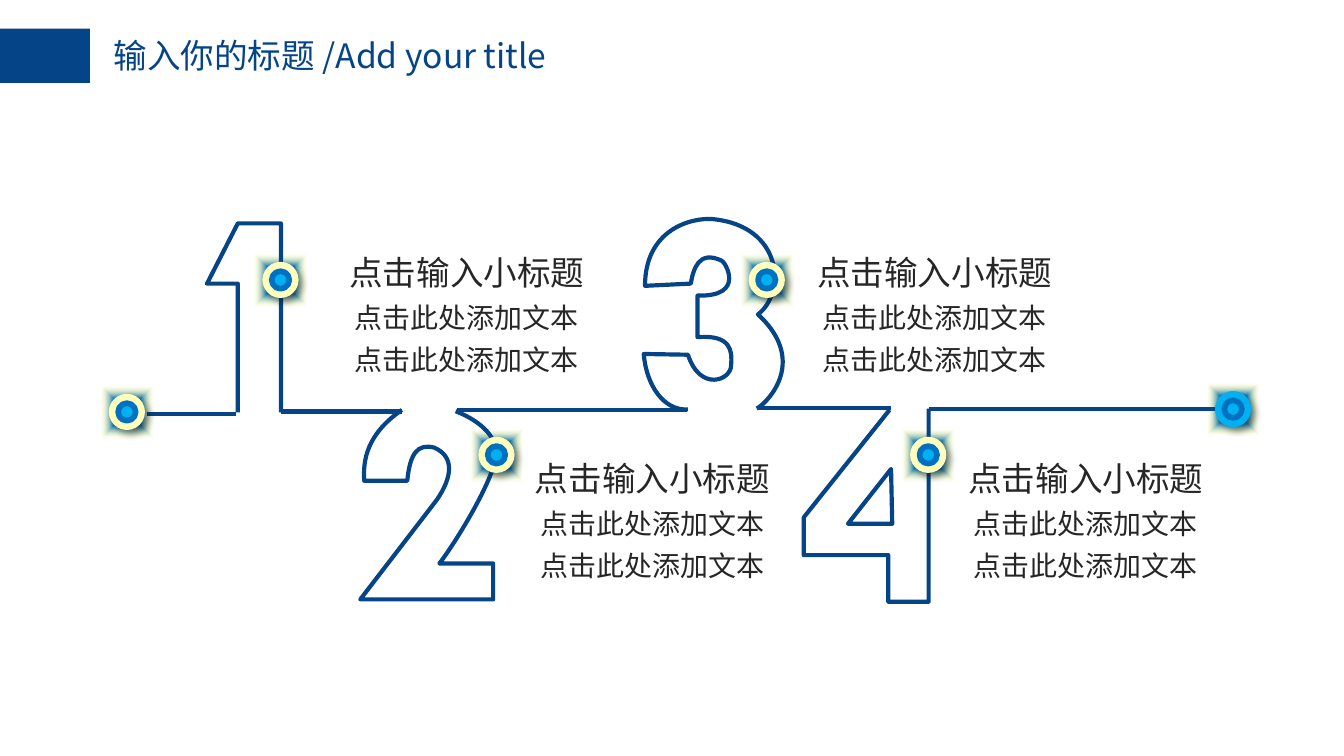
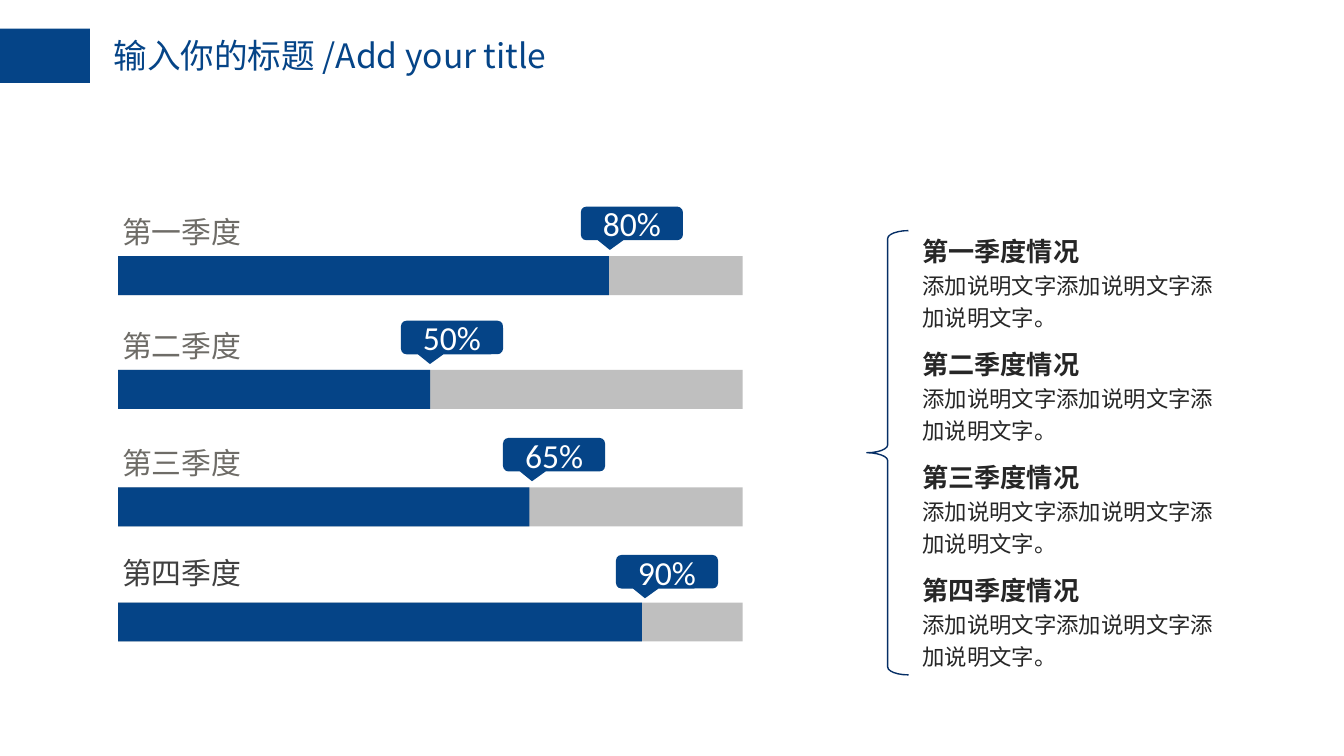
from lxml import etree
from pptx import Presentation
from pptx.dml.color import RGBColor
from pptx.enum.shapes import MSO_CONNECTOR, MSO_SHAPE
from pptx.enum.text import MSO_ANCHOR, MSO_AUTO_SIZE, PP_ALIGN
from pptx.oxml import parse_xml
from pptx.oxml.ns import qn
from pptx.util import Pt

RECT, OVAL = MSO_SHAPE.RECTANGLE, MSO_SHAPE.OVAL
CALLOUT, BRACE = MSO_SHAPE.ROUNDED_RECTANGULAR_CALLOUT, MSO_SHAPE.LEFT_BRACE
STRAIGHT = MSO_CONNECTOR.STRAIGHT
CENTER, MIDDLE = PP_ALIGN.CENTER, MSO_ANCHOR.MIDDLE
GROW = MSO_AUTO_SIZE.SHAPE_TO_FIT_TEXT

COLORS = {
    "navy": "054487", "brace": "052E65", "track": "BFBFBF", "white": "FFFFFF",
    "sky": "00B0F0", "blue": "0070C0", "cream": "FFFEBC", "glow": "FFFB6C",
    "ink": "262626", "label": "6E6C67", "dark": "404040",
}
FONT, NUMBER_FONT = "Noto Sans CJK SC", "Calibri"
NS = 'xmlns:a="http://schemas.openxmlformats.org/drawingml/2006/main"'

GLOW = f"""<a:gradFill {NS} rotWithShape="1"><a:gsLst>
<a:gs pos="15000"><a:srgbClr val="{COLORS['sky']}"/></a:gs>
<a:gs pos="31000"><a:srgbClr val="{COLORS['blue']}"/></a:gs>
<a:gs pos="63000"><a:srgbClr val="{COLORS['glow']}"><a:alpha val="0"/></a:srgbClr></a:gs>
</a:gsLst><a:path path="shape"><a:fillToRect l="50000" t="50000" r="50000" b="50000"/></a:path>
</a:gradFill>"""
SHADOW = f"""<a:outerShdw {NS} blurRad="{Pt(4)}" dist="{Pt(3)}" dir="2700000" algn="tl"
rotWithShape="0"><a:srgbClr val="000000"><a:alpha val="40000"/></a:srgbClr></a:outerShdw>"""

# Outlines: a 2-tuple is a corner, a 6-tuple is a Bezier curve (two controls, end).
DIGIT_1 = [(127.4, 221), (127.4, 152), (110.9, 152), (127.4, 119.7), (150.5, 119.7),
           (150.5, 221)]
DIGIT_2 = [(215.3, 219.6), (196.6, 232.6, 194.4, 246.2, 195.1, 257.6), (218.2, 257.6),
           (219.6, 242.6, 223.9, 237.6, 232.6, 239.8),
           (244.1, 244.8, 241.9, 256.3, 234, 267.8),
           (193, 321.1), (264.2, 321.1), (264.2, 301.9), (235.4, 301.9),
           (245.5, 288.7, 268.6, 250.6, 265.7, 239.8),
           (262.8, 229, 251.3, 223.2, 244.1, 220.3)]
DIGIT_3 = [(368.6, 219.4), (355.7, 220.3, 346.3, 206.6, 344.9, 189.7), (368.6, 190.1),
           (375.1, 210.2, 391.7, 203.8, 391.7, 195.8),
           (392.4, 187.9, 391.7, 179.3, 373.7, 180.7), (373.7, 158.4),
           (400.3, 159.1, 388.1, 139.7, 386.6, 139.7),
           (374.4, 133.9, 371.5, 144, 370.1, 152), (345.6, 153.2),
           (345.6, 123.1, 370.1, 116.6, 381.6, 117.4),
           (419.8, 121, 421.2, 157, 406.1, 168.5),
           (434.9, 195.1, 408.2, 218.2, 405.4, 218.9)]
DIGIT_4 = [(476.6, 219.6), (430.6, 277.2), (430.6, 297.4), (475.9, 297.4),
           (475.9, 322.4), (497.5, 322.4), (497.5, 218.9)]
HOLE_4 = [(477.4, 251.3), (454.3, 280.6), (478, 280.6)]


def rgb(name):
    return RGBColor.from_string(COLORS[name])


def write(tf, text, size=18, color="ink", font=FONT, bold=False, align=None, spacing=None):
    """Add one formatted paragraph, using the empty first one if it is free."""
    p = tf.paragraphs[0] if not tf.text else tf.add_paragraph()
    p.alignment, p.line_spacing = align, spacing
    r = p.add_run()
    r.text = text
    r.font.size, r.font.bold, r.font.name = Pt(size), bold, font
    r.font.color.rgb = rgb(color)
    etree.SubElement(r._r.get_or_add_rPr(), qn("a:ea")).set("typeface", font)


def flatten(outline, steps=16):
    """Return points along the outline, close enough to measure its extent."""
    points = [outline[0]]
    for part in outline[1:]:
        if len(part) == 2:
            points.append(part)
            continue
        (x0, y0), (x1, y1, x2, y2, x3, y3) = points[-1], part
        for i in range(1, steps + 1):
            t = i / steps
            a, b, c, d = (1 - t) ** 3, 3 * t * (1 - t) ** 2, 3 * t * t * (1 - t), t ** 3
            points.append((a * x0 + b * x1 + c * x2 + d * x3,
                           a * y0 + b * y1 + c * y2 + d * y3))
    return points


def set_curves(sp, outline):
    """Redraw an open freeform with true Bezier curves inside the same box."""
    track = sp._element.spPr.find(".//" + qn("a:path"))
    for step in list(track):
        track.remove(step)
    for i, part in enumerate(outline):
        tag = "a:moveTo" if i == 0 else "a:lnTo" if len(part) == 2 else "a:cubicBezTo"
        step = etree.SubElement(track, qn(tag))
        for x, y in zip(part[::2], part[1::2]):
            pt = etree.SubElement(step, qn("a:pt"))
            pt.set("x", str(Pt(x) - sp.left))
            pt.set("y", str(Pt(y) - sp.top))


class Deck:
    def __init__(self):
        self.prs = Presentation()
        self.prs.slide_width, self.prs.slide_height = Pt(720), Pt(405)
        self.s = None

    def slide(self, title):
        self.s = self.prs.slides.add_slide(self.prs.slide_layouts[6])
        self.shape(RECT, 0, 15.4, 48.2, 29, fill="navy")
        write(self.text(53.7, 15.2, 300, 51), title, color="navy")

    def shape(self, kind, x, y, w, h, fill=None, line=None, width=1, adj=()):
        sp = self.s.shapes.add_shape(kind, Pt(x), Pt(y), Pt(w), Pt(h))
        for i, value in enumerate(adj):
            sp.adjustments[i] = value
        self.paint(sp, fill, line, width)
        return sp

    def paint(self, sp, fill=None, line=None, width=1):
        sp.shadow.inherit = False
        if fill:
            sp.fill.solid()
            sp.fill.fore_color.rgb = rgb(fill)
        else:
            sp.fill.background()
        if line:
            sp.line.color.rgb, sp.line.width = rgb(line), Pt(width)
        else:
            sp.line.fill.background()

    def circle(self, cx, cy, d, **style):
        return self.shape(OVAL, cx - d / 2, cy - d / 2, d, d, **style)

    def text(self, x, y, w, h, inset=(7.2, 3.6), grow=True):
        tf = self.s.shapes.add_textbox(Pt(x), Pt(y), Pt(w), Pt(h)).text_frame
        tf.word_wrap = True
        if grow:
            tf.auto_size = GROW
        tf.margin_left = tf.margin_right = Pt(inset[0])
        tf.margin_top = tf.margin_bottom = Pt(inset[1])
        return tf

    def rule(self, x1, x2, y):
        c = self.s.shapes.add_connector(STRAIGHT, Pt(x1), Pt(y), Pt(x2), Pt(y))
        c.line.color.rgb, c.line.width = rgb("navy"), Pt(2.25)
        etree.SubElement(c._element.spPr, qn("a:effectLst"))

    def outline(self, parts, close=False):
        start, *rest = [(Pt(x), Pt(y)) for x, y in flatten(parts)]
        fb = self.s.shapes.build_freeform(*start)
        fb.add_line_segments(rest, close=close)
        sp = fb.convert_to_shape()
        self.paint(sp, line="navy", width=2.25)
        if not close:
            set_curves(sp, parts)

    def glow(self, cx, cy):
        spPr = self.circle(cx, cy, 44.6)._element.spPr
        spPr.replace(spPr.find(qn("a:noFill")), parse_xml(GLOW))

    def marker(self, cx, cy, fill):
        disc = self.circle(cx, cy, 19.4, fill=fill)
        disc._element.spPr.find(qn("a:effectLst")).append(parse_xml(SHADOW))
        self.circle(cx, cy, 9.4, fill="sky", line="blue", width=3)


def steps_slide(deck):
    markers = [(68, 220.7), (150.3, 150), (266, 243.7), (410.8, 150), (497.3, 243.7),
               (660.6, 219.2)]
    for cx, cy in markers:
        deck.glow(cx, cy)
    for x1, x2, y in [(78.5, 126.3, 221.8), (150.5, 215.3, 220.5), (244.8, 368, 219.6),
                      (406.8, 477.2, 218.4), (497.5, 651, 219)]:
        deck.rule(x1, x2, y)
    for digit in (DIGIT_1, DIGIT_2, DIGIT_3, DIGIT_4):
        deck.outline(digit)
    deck.outline(HOLE_4, close=True)
    for x, y in [(177, 127.8), (276.5, 237.9), (427.7, 127.8), (508.6, 237.9)]:
        tf = deck.text(x, y, 146.2, 78.5, inset=(5, 2.7))
        write(tf, "点击输入小标题", align=CENTER, spacing=Pt(26.2))
        for _ in range(2):
            write(tf, "点击此处添加文本", size=15, align=CENTER, spacing=Pt(22.5))
    for cx, cy in markers:
        deck.marker(cx, cy, "sky" if (cx, cy) == markers[-1] else "cream")


def quarters_slide(deck):
    bar_x, bar_w, bar_h = 63.3, 334.6, 20.9
    quarters = [  # name, percent, bar top, filled width, label top, colour, tag left and top
        ("第一季度", "80%", 137.2, 263, 110.9, "label", 311.2, 110.7),
        ("第二季度", "50%", 198.2, 167.2, 172, "label", 214.8, 171.8),
        ("第三季度", "65%", 261.1, 220.3, 234.7, "label", 269.5, 234.6),
        ("第四季度", "90%", 322.8, 280.7, 293.8, "dark", 330, 297.3),
    ]
    deck.shape(BRACE, 464.4, 123.6, 22.3, 238, line="brace", width=0.75, adj=(0.19, 0.5))
    for i, (name, percent, top, filled, label_top, color, tag_x, tag_y) in enumerate(quarters):
        deck.shape(RECT, bar_x, top, bar_w, bar_h, fill="track")
        deck.shape(RECT, bar_x, top, filled, bar_h, fill="navy")
        label_w = 114.5 if color == "dark" else 91.4
        write(deck.text(58.3, label_top, label_w, 26.6), name, size=16, color=color)
        tag = deck.shape(CALLOUT, tag_x, tag_y, 54.7, 18, fill="navy",
                         adj=(-0.216, 0.79, 0.167))
        tag.text_frame.vertical_anchor = MIDDLE
        write(tag.text_frame, percent, color="white", font=NUMBER_FONT, align=CENTER)

        tf = deck.text(487, 119.2 + 60.5 * i, 181.4, 64.8, grow=False)
        write(tf, name + "情况", size=14, bold=True, spacing=1.2)
        write(tf, "添加说明文字添加说明文字添加说明文字。", size=12, spacing=1.2)


def main():
    deck = Deck()
    for build in (steps_slide, quarters_slide):
        deck.slide("输入你的标题 /Add your title")
        build(deck)
    deck.prs.save("out.pptx")


if __name__ == "__main__":
    main()
